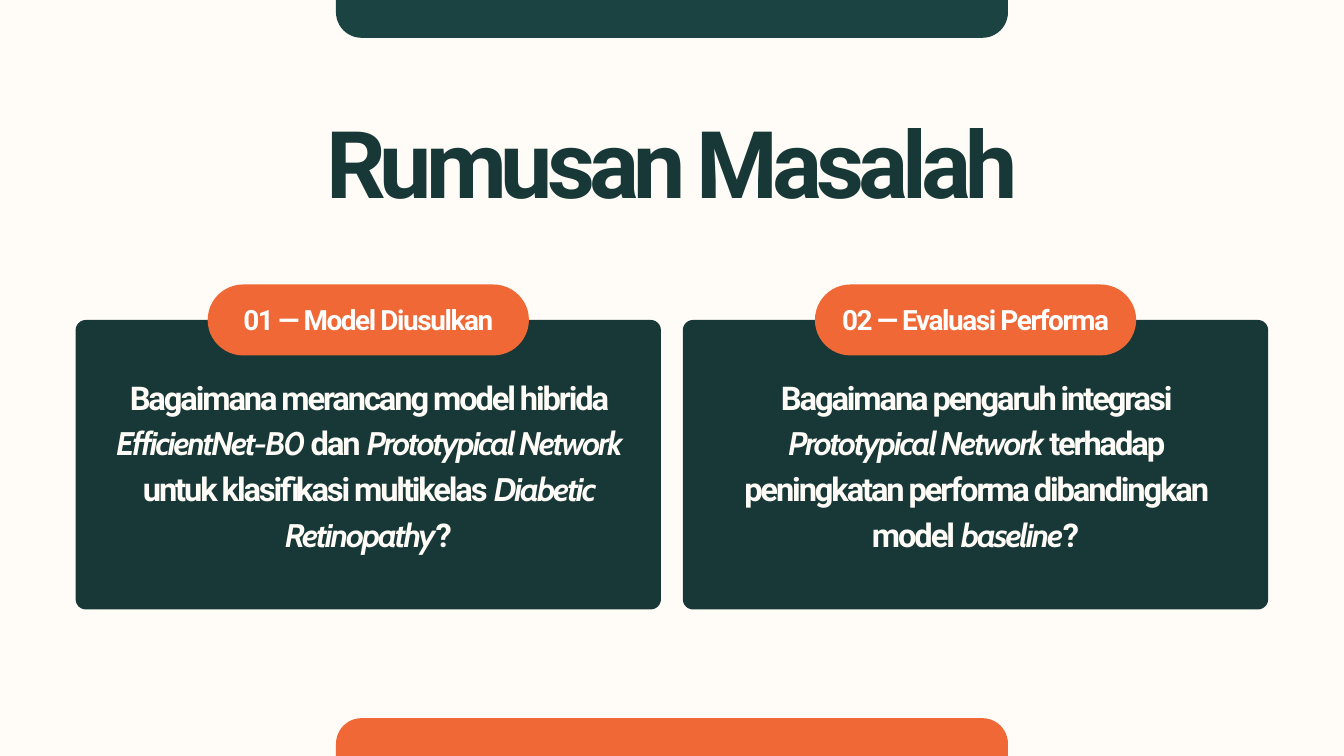
from pptx import Presentation
from pptx.dml.color import RGBColor
from pptx.enum import shapes, text
from pptx.util import Pt

CREAM = RGBColor(0xFF, 0xFC, 0xF7)
WHITE = RGBColor(0xFF, 0xFF, 0xFF)
DARK = RGBColor(0x17, 0x38, 0x37)
TEAL = RGBColor(0x1B, 0x43, 0x42)
ORANGE = RGBColor(0xEF, 0x68, 0x35)

deck = Presentation()
deck.slide_width, deck.slide_height = Pt(1440), Pt(810)
slide = deck.slides.add_slide(deck.slide_layouts[6])
slide.background.fill.solid()
slide.background.fill.fore_color.rgb = CREAM


def panel(x, y, w, h, color, radius):
    box = slide.shapes.add_shape(
        shapes.MSO_SHAPE.ROUNDED_RECTANGLE, Pt(x), Pt(y), Pt(w), Pt(h))
    box.adjustments[0] = radius / min(w, h)
    box.fill.solid()
    box.fill.fore_color.rgb = color
    box.line.fill.background()
    box.shadow.inherit = False


def write(words, x, y, w, h, *, size, lead, color, track):
    """Add centred bold text; parts between asterisks are italic Cabin."""
    frame = slide.shapes.add_textbox(Pt(x), Pt(y), Pt(w), Pt(h)).text_frame
    frame.word_wrap = True
    frame.margin_left = frame.margin_right = 0
    frame.margin_top = frame.margin_bottom = 0
    para = frame.paragraphs[0]
    para.alignment = text.PP_ALIGN.CENTER
    para.line_spacing = Pt(lead)
    for i, part in enumerate(words.split("*")):
        if not part:
            continue
        run = para.add_run()
        run.text = part
        font = run.font
        font.size, font.bold, font.italic = Pt(size), True, i % 2 == 1
        font.name = "Cabin" if font.italic else "Roboto"
        font.color.rgb = color
        run._r.get_or_add_rPr().set("spc", str(round(track * 100)))


cards = [
    ("01 — Model Diusulkan",
     "Bagaimana merancang model hibrida *EfficientNet-B0 *dan "
     "*Prototypical Network *untuk klasifikasi multikelas "
     "*Diabetic Retinopathy*?"),
    ("02 — Evaluasi Performa",
     "Bagaimana pengaruh integrasi *Prototypical Network *terhadap "
     "peningkatan performa dibandingkan model *baseline*?"),
]
for n, (label, body) in enumerate(cards):
    left = 81 + n * 650.6
    panel(left, 342.8, 627.2, 310.2, DARK, 11)
    panel(left + 141.5, 304.8, 344.2, 76, ORANGE, 38)
    write(label, left + 141.5, 327.6, 344.2, 34,
          size=29.9, lead=32.6, color=WHITE, track=-1.5)
    write(body, left + 34, 397.4, 559.4, 194.4,
          size=35, lead=49, color=CREAM, track=-2.3)

write("Rumusan Masalah", 271.5, 131, 897, 108,
      size=100, lead=102, color=DARK, track=-6.4)

for top, color in ((-40.5, TEAL), (769.5, ORANGE)):
    panel(360, top, 720, 81, color, 27.4)

deck.save("out.pptx")
